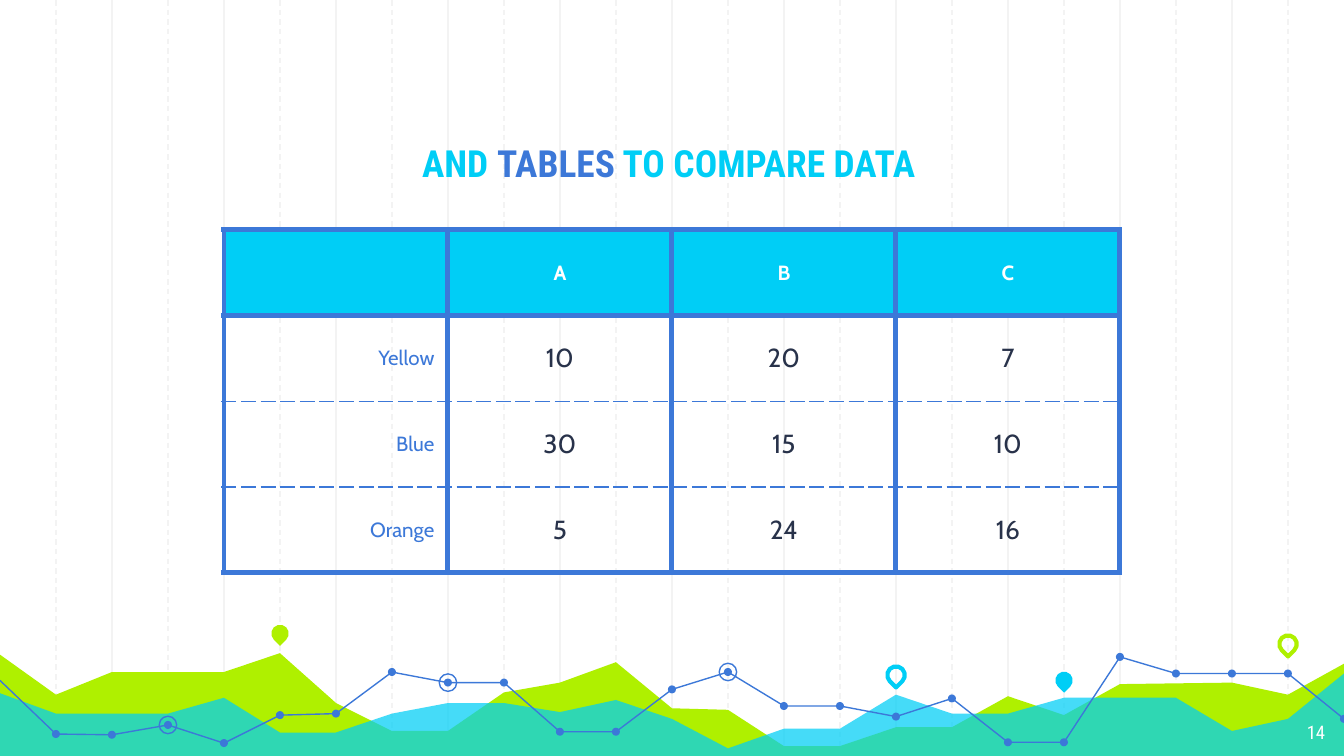
from dataclasses import dataclass

from lxml import etree
from pptx import Presentation
from pptx.dml.color import RGBColor
from pptx.enum.dml import MSO_LINE
from pptx.enum.shapes import MSO_CONNECTOR, MSO_SHAPE
from pptx.enum.text import MSO_ANCHOR, PP_ALIGN
from pptx.oxml.ns import qn
from pptx.util import Emu, Inches, Pt

STRAIGHT = MSO_CONNECTOR.STRAIGHT
OVAL, TEARDROP = MSO_SHAPE.OVAL, MSO_SHAPE.TEAR
DASH = MSO_LINE.DASH
TOP, MIDDLE, BOTTOM = MSO_ANCHOR.TOP, MSO_ANCHOR.MIDDLE, MSO_ANCHOR.BOTTOM
CENTER, RIGHT = PP_ALIGN.CENTER, PP_ALIGN.RIGHT

W, H = Inches(10), Inches(5.625)
COLS = 24
HEAD_FONT, BODY_FONT = "Roboto Condensed", "Cabin"
C = {
    "grid": "F3F3F3",
    "lime": "AFF000",
    "cyan": "00CEF6",
    "blue": "3C78D8",
    "ink": "28324A",
    "white": "FFFFFF",
}


@dataclass(frozen=True)
class Area:
    color: str
    alpha: int
    heights: list[float]


@dataclass(frozen=True)
class Marker:
    col: int
    row: float
    color: str
    filled: bool


AREAS = [
    Area("lime", 100, [
        86.6, 91.9, 88.9, 88.9, 88.9, 86.4, 93, 96.7, 96.7, 91.6, 90.3, 87.6, 93.7,
        93.9, 98.7, 98.7, 96.2, 96.2, 92.1, 94.6, 90.5, 90.4, 90.3, 91.9, 87.8]),
    Area("cyan", 73, [
        91.7, 94.4, 94.4, 94.4, 92.3, 96.9, 96.9, 94.4, 93, 93, 94.2, 92.6, 95.1,
        99, 96.4, 96.4, 91.9, 94.4, 94.4, 92.3, 92.3, 92.3, 96.7, 95.1, 89.1]),
]
TREND = [
    90, 97.1, 97.2, 95.9, 98.3, 94.6, 94.4, 88.9, 90.3, 90.3, 96.8, 96.8, 91.2,
    88.9, 93.4, 93.4, 94.8, 92.4, 98.2, 98.2, 86.9, 89.1, 89.1, 89.1, 95.1]
TREND_PARTS = [(0, 11), (11, 20), (20, 24)]
RINGED = [3, 8, 13]
PINS = [
    Marker(5, 83.8, "lime", True),
    Marker(16, 89.3, "cyan", False),
    Marker(19, 90, "cyan", True),
    Marker(23, 85.2, "lime", False),
]
ROWS = [
    ["", "A", "B", "C"],
    ["Yellow", "10", "20", "7"],
    ["Blue", "30", "15", "10"],
    ["Orange", "5", "24", "16"],
]
TITLE = [("AND ", "cyan"), ("TABLES", "blue"), (" TO COMPARE DATA", "cyan")]


def x(col: float) -> Emu:
    return Emu(round(W * col / COLS))


def y(percent: float) -> Emu:
    return Emu(round(H * percent / 100))


def rgb(name: str) -> RGBColor:
    return RGBColor.from_string(C[name])


def style(sp, fill: str | None = None, line: str | None = None, width: float = 0.75) -> None:
    sp.shadow.inherit = False
    if fill:
        sp.fill.solid()
        sp.fill.fore_color.rgb = rgb(fill)
    else:
        sp.fill.background()
    if line:
        sp.line.color.rgb = rgb(line)
        sp.line.width = Pt(width)
    else:
        sp.line.fill.background()


def write(tf, runs: list[tuple[str, str]], *, font: str, size: float, bold: bool = False,
          align=CENTER, anchor=None) -> None:
    if anchor is not None:
        tf.word_wrap = True
        tf.vertical_anchor = anchor
        tf.margin_left = tf.margin_right = tf.margin_top = tf.margin_bottom = Inches(0.1)
    p = tf.paragraphs[0]
    p.alignment = align
    for text, color in runs:
        r = p.add_run()
        r.text = text
        r.font.name = font
        r.font.size = Pt(size)
        r.font.bold = bold
        r.font.color.rgb = rgb(color)


def draw_gridline(shapes, col: int) -> None:
    sp = shapes.add_connector(STRAIGHT, x(col), 0, x(col), H)
    sp.line.color.rgb = rgb("grid")
    sp.line.width = Pt(0.75)
    if col % 2:
        sp.line.dash_style = DASH
    etree.SubElement(sp.element.spPr, qn("a:effectLst"))


def draw_path(shapes, points: list[tuple[Emu, Emu]], close: bool):
    builder = shapes.build_freeform(*points[0], scale=1.0)
    builder.add_line_segments(points[1:], close=close)
    return builder.convert_to_shape()


def draw_area(shapes, area: Area) -> None:
    points = [(x(i), y(h)) for i, h in enumerate(area.heights)]
    sp = draw_path(shapes, points + [(W, H), (Emu(0), H)], True)
    style(sp, fill=area.color)
    if area.alpha < 100:
        color = sp.element.spPr.find(qn("a:solidFill"))[0]
        etree.SubElement(color, qn("a:alpha"), val=str(area.alpha * 1000))


def draw_marker(shapes, kind, marker: Marker, size: float, width: float = 0.75):
    d = Inches(size)
    sp = shapes.add_shape(kind, x(marker.col) - d // 2, y(marker.row) - d // 2, d, d)
    if marker.filled:
        style(sp, fill=marker.color)
    else:
        style(sp, line=marker.color, width=width)
    return sp


def set_borders(cell, dashed: set[str]) -> None:
    tc_pr = cell._tc.get_or_add_tcPr()
    for i, side in enumerate("LRTB"):
        width = Pt(0.75 if side in dashed else 3)
        ln = etree.Element(qn(f"a:ln{side}"), w=str(width))
        fill = etree.SubElement(ln, qn("a:solidFill"))
        etree.SubElement(fill, qn("a:srgbClr"), val=C["blue"])
        etree.SubElement(ln, qn("a:prstDash"), val="dash" if side in dashed else "solid")
        tc_pr.insert(i, ln)


def draw_table(shapes, rows: list[list[str]]) -> None:
    n, last = len(rows[0]), len(rows) - 1
    table = shapes.add_table(len(rows), n, x(4), y(30.4), x(16), y(45.4)).table
    table.first_row = table.horz_banding = False
    for i, row in enumerate(rows):
        for j, text in enumerate(row):
            cell = table.cell(i, j)
            cell.vertical_anchor = MIDDLE
            cell.margin_left = cell.margin_right = Inches(0.1)
            cell.margin_top = cell.margin_bottom = Inches(0.07)
            if i == 0:
                cell.fill.solid()
                cell.fill.fore_color.rgb = rgb("cyan")
            else:
                cell.fill.background()
            set_borders(cell, {s for s, on in (("T", i > 1), ("B", 0 < i < last)) if on})
            if text:
                color = "white" if i == 0 else "blue" if j == 0 else "ink"
                write(cell.text_frame, [(text, color)], font=BODY_FONT,
                      size=14 if i and j else 11, bold=i == 0,
                      align=RIGHT if j == 0 else CENTER)


def main() -> None:
    prs = Presentation()
    prs.slide_width, prs.slide_height = W, H
    shapes = prs.slides.add_slide(prs.slide_layouts[6]).shapes

    for col in [*range(2, COLS, 2), *range(1, COLS, 2)]:
        draw_gridline(shapes, col)
    for area in AREAS:
        draw_area(shapes, area)
    for pin in PINS:
        draw_marker(shapes, TEARDROP, pin, 0.13, 2.25).rotation = 135
    for start, end in TREND_PARTS:
        points = [(x(i), y(TREND[i])) for i in range(start, end + 1)]
        style(draw_path(shapes, points, False), line="blue")
    for col in range(1, COLS + 1):
        draw_marker(shapes, OVAL, Marker(col, TREND[col], "blue", True), 0.06)
    for col in RINGED:
        draw_marker(shapes, OVAL, Marker(col, TREND[col], "blue", False), 0.13)

    title = shapes.add_textbox(x(2.76), y(12.3), x(18.36), y(13.9))
    write(title.text_frame, TITLE, font=HEAD_FONT, size=20, bold=True, anchor=BOTTOM)
    draw_table(shapes, ROWS)
    number = shapes.add_textbox(x(22.46), y(93.9), x(1.44), y(6.2))
    write(number.text_frame, [("14", "white")], font=HEAD_FONT, size=10,
          align=RIGHT, anchor=TOP)
    prs.save("out.pptx")


if __name__ == "__main__":
    main()
